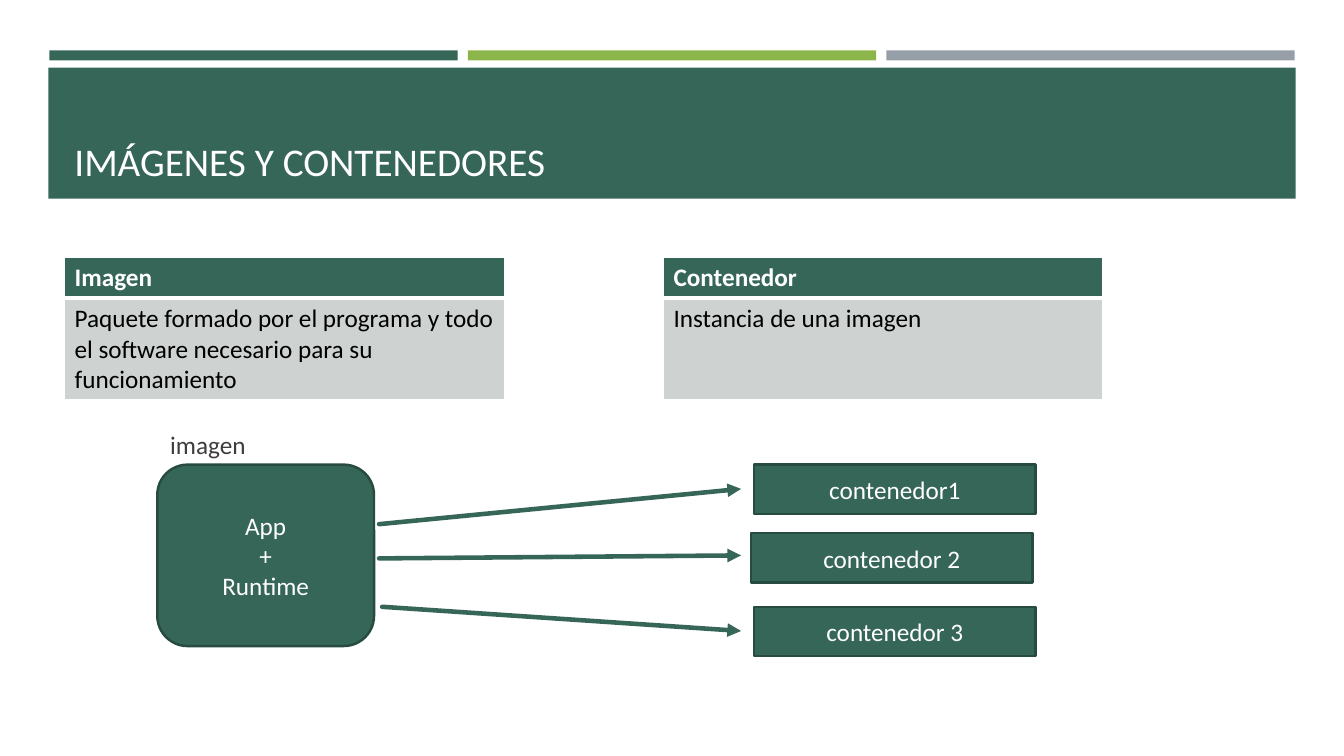
"""Build a slide that contrasts images and containers."""
from lxml import etree
from pptx import Presentation
from pptx.dml.color import RGBColor
from pptx.enum.shapes import MSO_CONNECTOR, MSO_SHAPE
from pptx.enum.text import MSO_ANCHOR, PP_ALIGN
from pptx.oxml import parse_xml
from pptx.oxml.ns import nsdecls, qn
from pptx.util import Inches, Pt

RECT, ROUND = MSO_SHAPE.RECTANGLE, MSO_SHAPE.ROUNDED_RECTANGLE
STRAIGHT = MSO_CONNECTOR.STRAIGHT
LEFT, CENTER = PP_ALIGN.LEFT, PP_ALIGN.CENTER
TOP, MIDDLE, BOTTOM = MSO_ANCHOR.TOP, MSO_ANCHOR.MIDDLE, MSO_ANCHOR.BOTTOM
HEX = {"green": "366658", "lime": "8CB64A", "gray": "969FA7", "edge": "284B41",
       "pale": "CED3D1", "white": "FFFFFF", "black": "000000", "ink": "3D3D3D"}
COLOR = {name: RGBColor.from_string(code) for name, code in HEX.items()}


def write(frame, text, size=18, color="white", bold=False, align=LEFT, anchor=MIDDLE):
    frame.word_wrap = True
    frame.vertical_anchor = anchor
    frame.text = text
    for para in frame.paragraphs:
        para.alignment = align
        font = para.runs[0].font
        font.name, font.size, font.bold = "Calibri", Pt(size), bold
        font.color.rgb = COLOR[color]


def draw(kind, box, fill, edge=None):
    shape = slide.shapes.add_shape(kind, *map(Inches, box))
    shape.shadow.inherit = False
    shape.fill.solid()
    shape.fill.fore_color.rgb = COLOR[fill]
    if edge:
        shape.line.color.rgb = COLOR[edge]
        shape.line.width = Pt(1.75)
    else:
        shape.line.fill.background()
    return shape


deck = Presentation()
deck.slide_width, deck.slide_height = Inches(13.33), Inches(7.5)
slide = deck.slides.add_slide(deck.slide_layouts[6])

for col, fill in enumerate(["green", "lime", "gray"]):
    draw(RECT, (0.49 + 4.15 * col, 0.5, 4.05, 0.1), fill)
draw(RECT, (0.48, 0.67, 12.37, 1.3), "green")

labels = [
    ("IMÁGENES Y CONTENEDORES", (0.64, 0.77, 12.06, 1.11), 28, "white", BOTTOM),
    ("imagen", (1.59, 4.2, 1.5, 0.42), 18, "ink", MIDDLE),
]
for text, box, size, color, anchor in labels:
    label = slide.shapes.add_textbox(*map(Inches, box))
    write(label.text_frame, text, size=size, color=color, anchor=anchor)

tables = [
    (0.64, "Imagen", "Paquete formado por el programa y todo el software "
                     "necesario para su funcionamiento"),
    (6.58, "Contenedor", "Instancia de una imagen"),
]
for left, head, body in tables:
    frame = slide.shapes.add_table(2, 1, Inches(left), Inches(2.55), Inches(4.36), Inches(1.41))
    table = frame.table
    rows = [(head, 0.41, "green", "white", True, 3), (body, 1, "pale", "black", False, 1)]
    for row, (text, high, fill, color, bold, base) in enumerate(rows):
        table.rows[row].height = Inches(high)
        cell = table.cell(row, 0)
        write(cell.text_frame, text, color=color, bold=bold, anchor=TOP)
        cell.vertical_anchor = TOP
        props = cell._tc.get_or_add_tcPr()
        for side, width in [("L", 1), ("R", 1), ("T", 3 if row else 1), ("B", base)]:
            props.append(parse_xml(
                f'<a:ln{side} {nsdecls("a")} w="{Pt(width)}"><a:solidFill>'
                f'<a:srgbClr val="{HEX["white"]}"/></a:solidFill></a:ln{side}>'))
        cell.fill.solid()
        cell.fill.fore_color.rgb = COLOR[fill]

nodes = [
    (ROUND, (1.56, 4.61, 2.15, 1.8), "App\n+\nRuntime"),
    (RECT, (7.48, 4.61, 2.79, 0.49), "contenedor1"),
    (RECT, (7.45, 5.29, 2.79, 0.49), "contenedor 2"),
    (RECT, (7.48, 6.02, 2.79, 0.49), "contenedor 3"),
]
for kind, box, text in nodes:
    node = draw(kind, box, "green", edge="edge")
    write(node.text_frame, text, align=CENTER)

arrows = [(3.76, 5.2, 7.35, 4.85), (3.76, 5.54, 7.35, 5.51), (3.79, 6.02, 7.35, 6.26)]
for ends in arrows:
    arrow = slide.shapes.add_connector(STRAIGHT, *map(Inches, ends))
    arrow.line.color.rgb = COLOR["green"]
    arrow.line.width = Pt(3.25)
    line = arrow.line._get_or_add_ln()
    line.set("cap", "rnd")
    etree.SubElement(line, qn("a:tailEnd"), type="triangle")
    etree.SubElement(arrow._element.spPr, qn("a:effectLst"))

deck.save("out.pptx")
